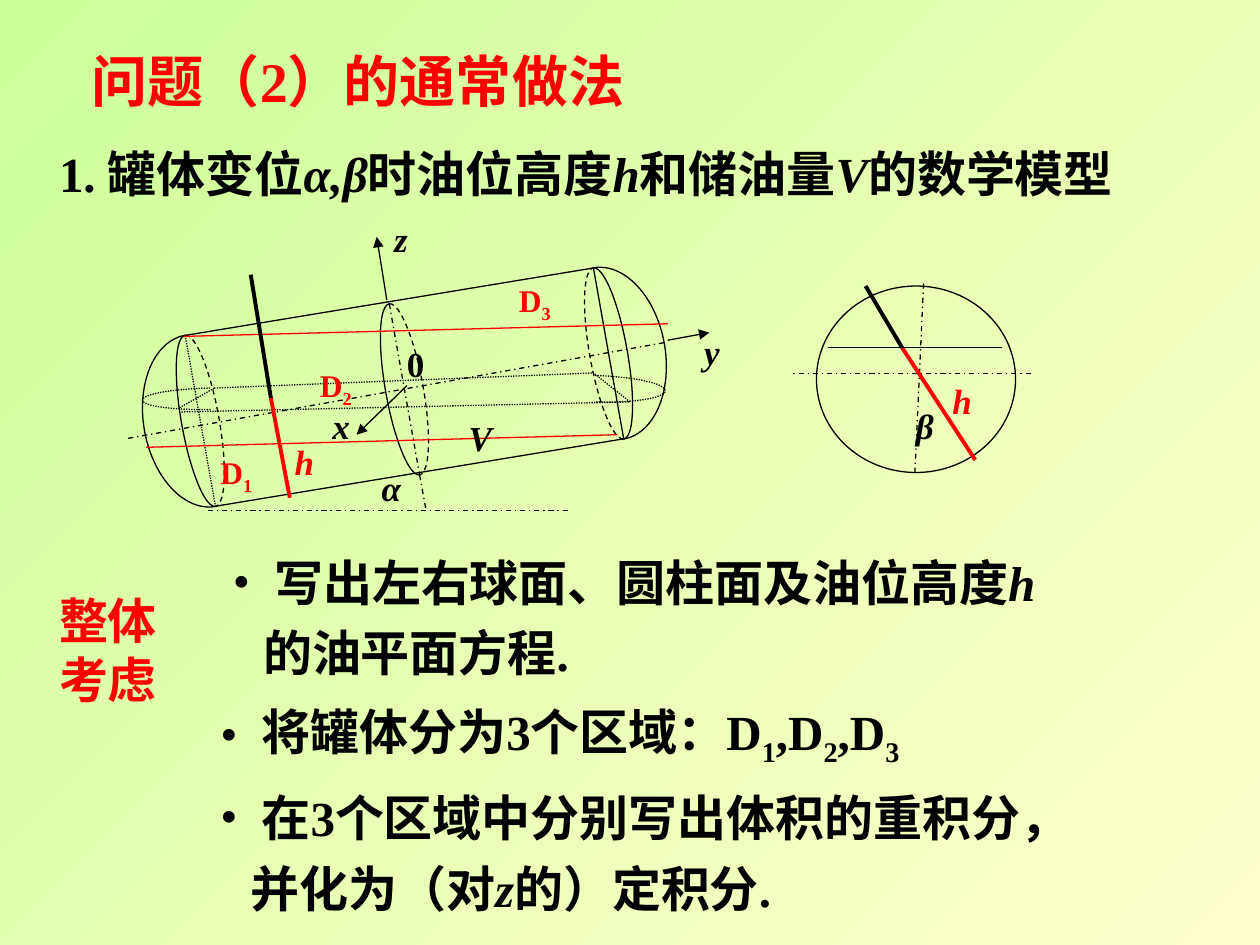
from lxml import etree
from pptx import Presentation
from pptx.dml.color import RGBColor
from pptx.enum.dml import MSO_LINE as DASH
from pptx.enum.shapes import MSO_CONNECTOR as CONN, MSO_SHAPE as SHAPE
from pptx.oxml.ns import qn
from pptx.util import Inches, Pt

BLACK = RGBColor(0, 0, 0)
RED = RGBColor(0xFF, 0, 0)
CREAM = RGBColor(0xFF, 0xFF, 0xCC)
GREEN = RGBColor(0xCC, 0xFF, 0x99)
FONT = "Times New Roman"
SOLID, DASHED, DASH_DOT, DOT = None, DASH.DASH, DASH.DASH_DOT, DASH.ROUND_DOT

prs = Presentation()
prs.slide_width, prs.slide_height = Inches(10), Inches(7.5)
s = prs.slides.add_slide(prs.slide_layouts[6])
shapes = s.shapes
CELL = prs.slide_width // 100  # the slide is a grid of 100 columns by 75 rows


def add_line(x1, y1, x2, y2, dash=SOLID, color=BLACK, width=0.75, arrow=False):
    ends = [round(v * CELL) for v in (x1, y1, x2, y2)]
    sp = shapes.add_connector(CONN.STRAIGHT, *ends)
    sp.line.color.rgb, sp.line.width, sp.line.dash_style = color, Pt(width), dash
    if arrow:
        etree.SubElement(sp.line._get_or_add_ln(), qn("a:tailEnd"), type="triangle")
    etree.SubElement(sp._element.spPr, qn("a:effectLst"))


def add_text(x, y, w, h, size, color, runs, before=True, spacing=None, bullet=False):
    """Runs are (text, style) pairs: 'i' is italic, 's' is subscript."""
    tf = shapes.add_textbox(*[round(v * CELL) for v in (x, y, w, h)]).text_frame
    tf.word_wrap = True
    p = tf.paragraphs[0]
    p.space_before = Pt(size * 0.625 if before else 0)
    if spacing:
        p.line_spacing = spacing
    if bullet:
        pPr = p._p.get_or_add_pPr()
        indent = Inches(0.24)
        for key, value in {"marL": indent, "indent": -indent, "hangingPunct": 0}.items():
            pPr.set(key, str(value))
        etree.SubElement(pPr, qn("a:buFont"), typeface=FONT)
        etree.SubElement(pPr, qn("a:buChar"), char="•")
    for text, style in runs:
        r = p.add_run()
        r.text = text
        font = {"name": FONT, "size": Pt(size), "bold": True, "italic": style == "i"}
        for key, value in font.items():
            setattr(r.font, key, value)
        r.font.color.rgb = color
        if style == "s":
            r._r.get_or_add_rPr().set("baseline", "-25000")


# Background
fill = s.background.fill
fill.gradient()
fill.gradient_angle = 135
for stop, color in zip(fill.gradient_stops, (CREAM, GREEN)):
    stop.color.rgb = color

# Headings
add_text(6.3, 3.2, 52.4, 6.4, 32, RED, [("问题（2）的通常做法", "")])
add_text(3.7, 10.9, 92.5, 5.7, 28, BLACK,
         [("1. 罐体变位", ""), ("α,β", "i"), ("时油位高度", ""), ("h", "i"),
          ("和储油量", ""), ("V", "i"), ("的数学模型", "")], before=False)

# Cross-section of the tank
sp = shapes.add_shape(SHAPE.OVAL, *[round(v * CELL) for v in (64.8, 22.7, 15.8, 14.8)])
sp.shadow.inherit = False
sp.fill.background()
sp.line.color.rgb, sp.line.width = BLACK, Pt(0.75)
add_line(81.8, 29.63, 62.8, 29.63, DASH_DOT)
add_line(73.3, 22.5, 72.6, 37.8, DASH_DOT)
add_line(71.6, 27.6, 77.4, 36.5, color=RED, width=2.25)
add_line(71.6, 27.6, 68.7, 22.7, width=2.25)
add_line(65.7, 27.6, 79.5, 27.6)

# Tank outline: half ellipses (centre, size, tilt, side)
TILT = -10.1
RINGS = LEFT, MIDDLE, RIGHT = (15.9, 33.4), (32.1, 30.9), (48.3, 28.05)
RING, CAP = (3, 13.8), (9, 13.8)
HALVES = {"left": (54, 162), "right": (162, 54)}  # quarter turns of 54 units
ARCS = [
    (LEFT, RING, TILT, "left", SOLID), (LEFT, RING, TILT, "right", DASHED),
    (MIDDLE, RING, TILT, "left", SOLID), (MIDDLE, RING, TILT, "right", DASHED),
    (RIGHT, RING, TILT, "left", DASHED), (RIGHT, RING, TILT, "right", SOLID),
    (LEFT, CAP, TILT, "left", SOLID), (RIGHT, CAP, TILT, "right", SOLID),
    ((16.7, 31.65), (10.8, 1.7), -1.1, "left", DOT),
    ((47.2, 30.85), (11.2, 2.1), 1.7, "right", DOT),
]
for (cx, cy), (w, h), tilt, side, dash in ARCS:
    box = [round(v * CELL) for v in (cx - w / 2, cy - h / 2, w, h)]
    sp = shapes.add_shape(SHAPE.ARC, *box)
    sp.adjustments[0], sp.adjustments[1] = HALVES[side]
    sp.rotation = tilt
    sp.shadow.inherit = False
    sp.fill.background()
    sp.line.color.rgb, sp.line.width, sp.line.dash_style = BLACK, Pt(0.75), dash

# Tank edges and ring diameters
RIM = (-1.2, -6.78)
for side in (1, -1):
    (x1, y1), (x2, y2) = LEFT, RIGHT
    dx, dy = RIM[0] * side, RIM[1] * side
    add_line(x1 + dx, y1 + dy, x2 + dx, y2 + dy)
for (cx, cy), dash in zip(RINGS, (DOT, DASH_DOT, SOLID)):
    add_line(cx + RIM[0], cy + RIM[1], cx - RIM[0], cy - RIM[1], dash)

# Centre plane, axis and ground lines
for ends in [(50, 31.9, 47.1, 29.6), (17, 30.8, 47.1, 29.6),
             (17, 30.8, 14.2, 32.4), (14.2, 32.7, 50, 31.9)]:
    add_line(*ends, DOT)
for ends in [(52.7, 27.2, 10.1, 34.8), (33.3, 37.7, 33.8, 40.4), (16.5, 40.5, 45.1, 40.5)]:
    add_line(*ends, DASH_DOT)

# Coordinate arrows
for ends in [(53, 27, 56.3, 26.4), (30.7, 23.8, 29.9, 18.8), (32.3, 30.6, 28.3, 34.5)]:
    add_line(*ends, arrow=True)

# Oil levels and dipstick
add_line(49, 34.5, 11.6, 35.5, color=RED)
add_line(53, 25.7, 14.6, 26.7, color=RED)
add_line(19.9, 21.8, 21.5, 31.6, width=2.25)
add_line(21.5, 31.6, 23, 39.5, color=RED, width=2.25)

# Diagram labels
for text, x, y, color, style in [
        ("h", 74.6, 29.6, RED, "i"), ("β", 71.7, 31.6, BLACK, "i"),
        ("h", 22.4, 34.5, RED, "i"), ("V", 36.2, 32.6, BLACK, "i"),
        ("α", 29.3, 36.5, BLACK, "i"), ("x", 25.4, 31.6, BLACK, "i"),
        ("y", 54.9, 25.7, BLACK, "i"), ("z", 30.3, 16.8, BLACK, "i"),
        ("0", 31.3, 26.7, BLACK, "")]:
    add_text(x, y, 5.2, 4.4, 20, color, [(text, style)])
for number, x, y in [("1", 16.5, 35.5), ("2", 24.4, 28.6), ("3", 40.2, 21.8)]:
    add_text(x, y, 5.9, 4.4, 18, RED, [("D", ""), (number, "s")])

# Side note and steps
add_text(3.7, 46.4, 10.8, 10.4, 28, RED, [("整体考虑", "")])
add_text(17.5, 42.4, 66.9, 12.2, 28, BLACK,
         [(" 写出左右球面、圆柱面及油位高度", ""), ("h", "i"), ("的油平面方程.", "")],
         spacing=1.2, bullet=True)
add_text(16.5, 55.2, 64, 6.3, 28, BLACK,
         [(" 将罐体分为3个区域：D", ""), ("1", "s"), (",D", ""), ("2", "s"),
          (",D", ""), ("3", "s")], bullet=True)
add_text(16.5, 61.1, 69.9, 12.2, 28, BLACK,
         [(" 在3个区域中分别写出体积的重积分，并化为（对", ""), ("z", "i"), ("的）定积分.", "")],
         spacing=1.2, bullet=True)

prs.save("out.pptx")
